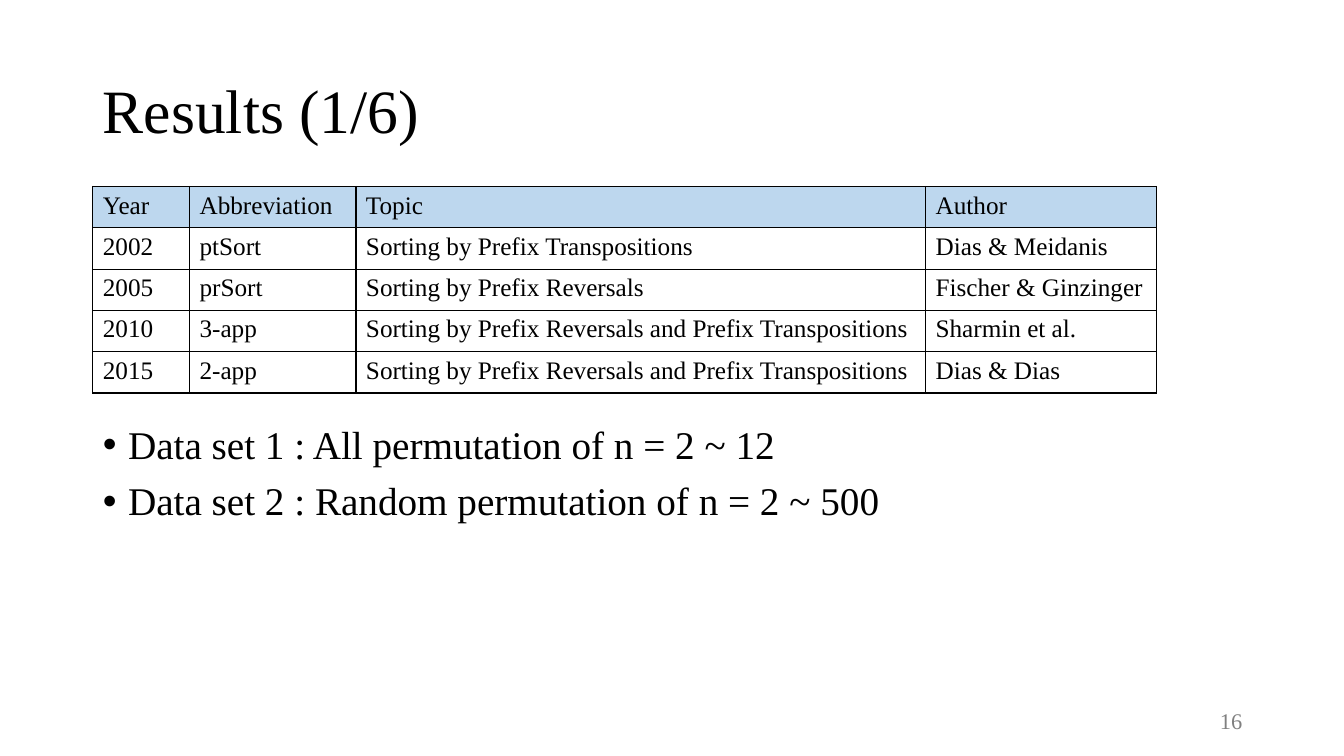
"""Build the results slide with its table of sorting algorithms and data sets."""
from lxml.etree import SubElement as Sub
from pptx import Presentation
from pptx.dml.color import RGBColor as RGB
from pptx.enum.text import MSO_ANCHOR as Anchor, PP_ALIGN as Align
from pptx.oxml.ns import qn
from pptx.util import Inches, Pt

COLORS = {"text": "000000", "head": "BDD7EE", "line": "000000", "page": "808080"}
ROWS = [
    ("Year", "Abbreviation", "Topic", "Author"),
    ("2002", "ptSort", "Sorting by Prefix Transpositions", "Dias & Meidanis"),
    ("2005", "prSort", "Sorting by Prefix Reversals", "Fischer & Ginzinger"),
    ("2010", "3-app", "Sorting by Prefix Reversals and Prefix Transpositions", "Sharmin et al."),
    ("2015", "2-app", "Sorting by Prefix Reversals and Prefix Transpositions", "Dias & Dias"),
]
WIDTHS = [0.96, 1.65, 5.65, 2.29]
HIGH = 0.41
SETS = [
    "Data set 1 : All permutation of n = 2 ~ 12",
    "Data set 2 : Random permutation of n = 2 ~ 500",
]


def style(para, size, color="text", **form):
    """Set the font of a paragraph and its format values."""
    for name, value in form.items():
        setattr(para, name, value)
    para.font.name = "Times New Roman"
    para.font.size = Pt(size)
    para.font.color.rgb = RGB.from_string(COLORS[color])


def place(shape, left, top, width, height):
    """Move and size a shape, in inches."""
    box = {"left": left, "top": top, "width": width, "height": height}
    for name, value in box.items():
        setattr(shape, name, Inches(value))


prs = Presentation()
prs.slide_width, prs.slide_height = Inches(13.33), Inches(7.5)
slide = prs.slides.add_slide(prs.slide_layouts[1])

title = slide.shapes.title
place(title, 0.92, 0.4, 11.5, 1.45)
title.text_frame.text = "Results (1/6)"
title.text_frame.vertical_anchor = Anchor.MIDDLE
style(title.text_frame.paragraphs[0], 44, alignment=Align.LEFT, line_spacing=0.9)

body = slide.placeholders[1]
place(body, 0.92, 4.17, 11.5, 2.58)
body.text_frame.text = "\n".join(SETS)
for i, para in enumerate(body.text_frame.paragraphs):
    props = para._p.get_or_add_pPr()
    props.set("marL", str(Inches(0.25)))
    props.set("indent", str(-Inches(0.25)))
    Sub(props, qn("a:buFont"), typeface="Arial")
    Sub(props, qn("a:buChar"), char="•")
    style(para, 28, line_spacing=0.9, space_before=Pt(10 if i else 0))

frame = slide.shapes.add_table(
    len(ROWS), len(WIDTHS), Inches(0.92), Inches(1.85),
    Inches(sum(WIDTHS)), Inches(HIGH * len(ROWS)))
table = frame.table
for col, width in zip(table.columns, WIDTHS):
    col.width = Inches(width)
for r, row in enumerate(ROWS):
    table.rows[r].height = Inches(HIGH)
    for c, text in enumerate(row):
        cell = table.cell(r, c)
        cell.text = text
        style(cell.text_frame.paragraphs[0], 18)
        cell.text_frame.paragraphs[0].font.bold = False
        props = cell._tc.get_or_add_tcPr()
        for side in ("lnL", "lnR", "lnT", "lnB"):
            line = Sub(props, qn(f"a:{side}"), w=str(Pt(1)))
            Sub(Sub(line, qn("a:solidFill")), qn("a:srgbClr"), val=COLORS["line"])
        if r == 0:
            cell.fill.solid()
            cell.fill.fore_color.rgb = RGB.from_string(COLORS["head"])
        else:
            cell.fill.background()

page = slide.shapes.add_textbox(Inches(9.42), Inches(6.95), Inches(3), Inches(0.4))
page.text_frame.word_wrap = True
page.text_frame.vertical_anchor = Anchor.MIDDLE
page.text_frame.text = "16"
style(page.text_frame.paragraphs[0], 16, "page", alignment=Align.RIGHT)

prs.save("out.pptx")
